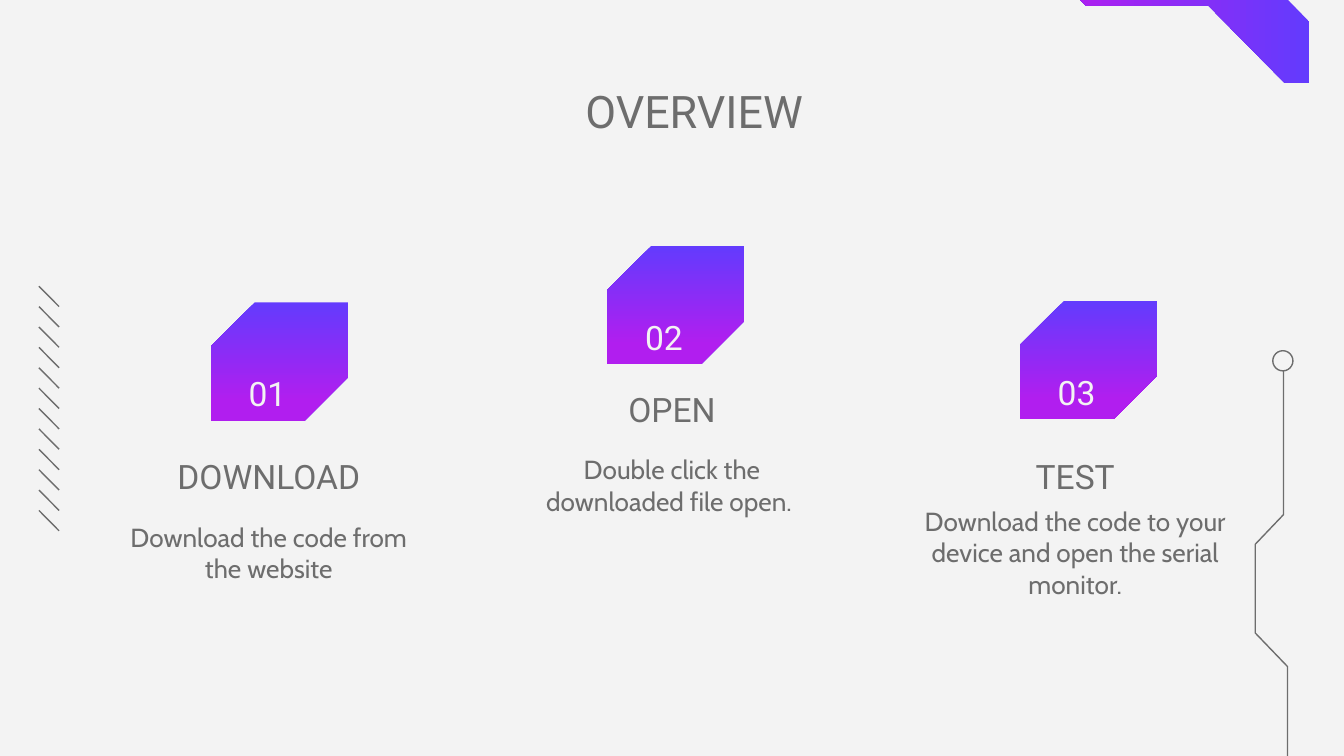
import pptx
import pptx.util
import pptx.dml.color
import pptx.enum.shapes
import pptx.enum.text
import pptx.oxml.xmlchemy

# Widescreen slide, 16 to 9
WIDTH = 10
HEIGHT = WIDTH * 9 / 16
COLORS = {
    "background": "F3F3F3",
    "gray": "6D6D6D",
    "blue": "633BFD",
    "magenta": "B11EEF",
}

# Three equal columns; each step's text fills one column less its gutter
COLUMN_LEFT, COLUMN_PITCH, COLUMN_WIDTH = 0.74, 3, 2.52
BADGE_WIDTH, BADGE_HEIGHT = 1.02, 0.88

# Number, heading, body, heading top, badge left, badge top
STEPS = [
    ("01", "DOWNLOAD", "Download the code from the website", 3.33, 1.57, 2.25),
    ("02", "OPEN", "Double click the downloaded file open. ", 2.83, 4.52, 1.83),
    ("03", "TEST", "Download the code to your device and open the serial monitor.",
     3.33, 7.59, 2.24),
]

CIRCUIT = [(9.58, 5.68), (9.58, 4.96), (9.34, 4.71), (9.34, 4.05), (9.55, 3.83), (9.55, 2.76)]
RIBBON = [(9.74, 0.62), (9.56, 0.62), (8.99, 0.04), (8.08, 0.04),
          (7.55, -0.49), (9.09, -0.49), (9.74, 0.16)]


def inches(*lengths):
    return [pptx.util.Inches(length) for length in lengths]


def rgb(name):
    return pptx.dml.color.RGBColor.from_string(COLORS[name])


def style_outline(shape):
    shape.line.color.rgb = rgb("gray")
    shape.line.width = pptx.util.Pt(0.75)


def style_gradient(shape, angle):
    """Blue to magenta; the angle runs counter-clockwise."""
    shape.shadow.inherit = False
    shape.line.fill.background()
    shape.fill.gradient()
    shape.fill.gradient_angle = angle
    for stop, name, position in zip(shape.fill.gradient_stops, ("blue", "magenta"), (0, 0.83)):
        stop.color.rgb = rgb(name)
        stop.position = position


def add_text(slide, text, box, size=18, font="Roboto", color="gray", anchor="MIDDLE"):
    frame = slide.shapes.add_textbox(*inches(*box)).text_frame
    frame.word_wrap = True
    frame.vertical_anchor = pptx.enum.text.MSO_ANCHOR[anchor]
    frame.margin_left = frame.margin_right = pptx.util.Inches(0.1)
    frame.margin_top = frame.margin_bottom = pptx.util.Inches(0.1)
    paragraph = frame.paragraphs[0]
    paragraph.alignment = pptx.enum.text.PP_ALIGN.CENTER
    run = paragraph.add_run()
    run.text = text
    run.font.name = font
    run.font.size = pptx.util.Pt(size)
    run.font.color.rgb = rgb(color)


def add_outline(slide, points, close):
    start, *others = [inches(*point) for point in points]
    builder = slide.shapes.build_freeform(*start)
    builder.add_line_segments(others, close=close)
    shape = builder.convert_to_shape()
    shape.shadow.inherit = False
    return shape


def add_hatching(slide, left, top, width, height, count):
    """Equal diagonal strokes stacked from top to bottom."""
    step = height / count
    for index in range(count):
        y = top + index * step
        line = slide.shapes.add_connector(
            pptx.enum.shapes.MSO_CONNECTOR.STRAIGHT, *inches(left, y, left + width, y + step))
        style_outline(line)
        line._element.spPr.append(pptx.oxml.xmlchemy.OxmlElement("a:effectLst"))


def add_step(slide, column, number, heading, body, heading_top, badge_left, badge_top):
    left = COLUMN_LEFT + column * COLUMN_PITCH
    add_text(slide, heading, (left, heading_top, COLUMN_WIDTH, 0.42))
    add_text(slide, body, (left, heading_top + 0.17, COLUMN_WIDTH, 1.22), size=14, font="Cabin")

    badge = slide.shapes.add_shape(
        pptx.enum.shapes.MSO_SHAPE.SNIP_2_DIAG_RECTANGLE,
        *inches(badge_left, badge_top, BADGE_WIDTH, BADGE_HEIGHT))
    badge.adjustments[0], badge.adjustments[1] = 0.37, 0
    style_gradient(badge, angle=270)
    add_text(slide, number, (badge_left - 0.07, badge_top + BADGE_HEIGHT / 2, 0.98, 0.47),
             color="background")


def add_decoration(slide):
    # Circuit trace with its round terminal
    trace = add_outline(slide, CIRCUIT, close=False)
    trace.fill.background()
    style_outline(trace)
    terminal = slide.shapes.add_shape(
        pptx.enum.shapes.MSO_SHAPE.OVAL, *inches(9.47, 2.61, 0.15, 0.15))
    terminal.shadow.inherit = False
    terminal.fill.background()
    style_outline(terminal)

    # Corner ribbon and hatching
    style_gradient(add_outline(slide, RIBBON, close=True), angle=180)
    add_hatching(slide, left=0.29, top=2.13, width=0.15, height=1.82, count=12)


def main():
    presentation = pptx.Presentation()
    presentation.slide_width, presentation.slide_height = inches(WIDTH, HEIGHT)
    slide = presentation.slides.add_slide(presentation.slide_layouts[6])
    slide.background.fill.solid()
    slide.background.fill.fore_color.rgb = rgb("background")

    add_decoration(slide)
    add_text(slide, "OVERVIEW", (0.71, 0.52, 8.91, 1.02), size=24, anchor="TOP")
    for column, step in enumerate(STEPS):
        add_step(slide, column, *step)

    presentation.save("out.pptx")


if __name__ == "__main__":
    main()
